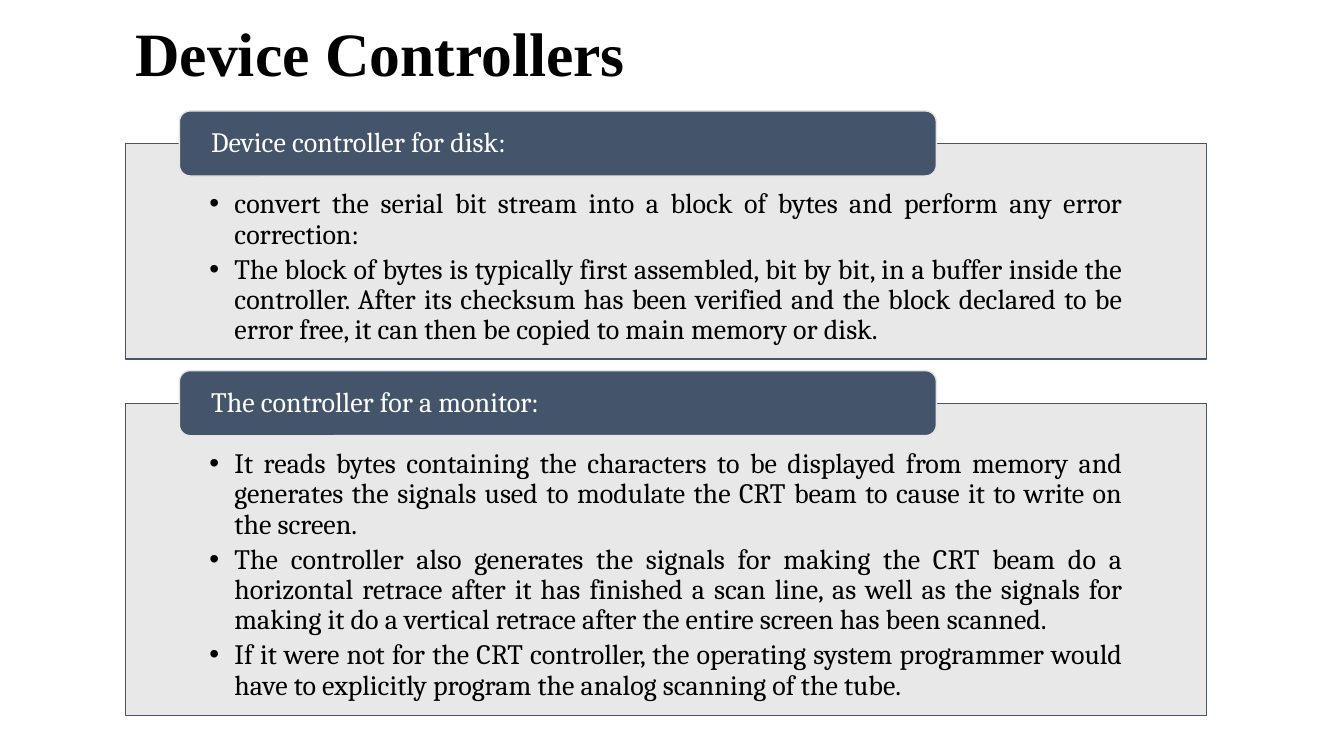
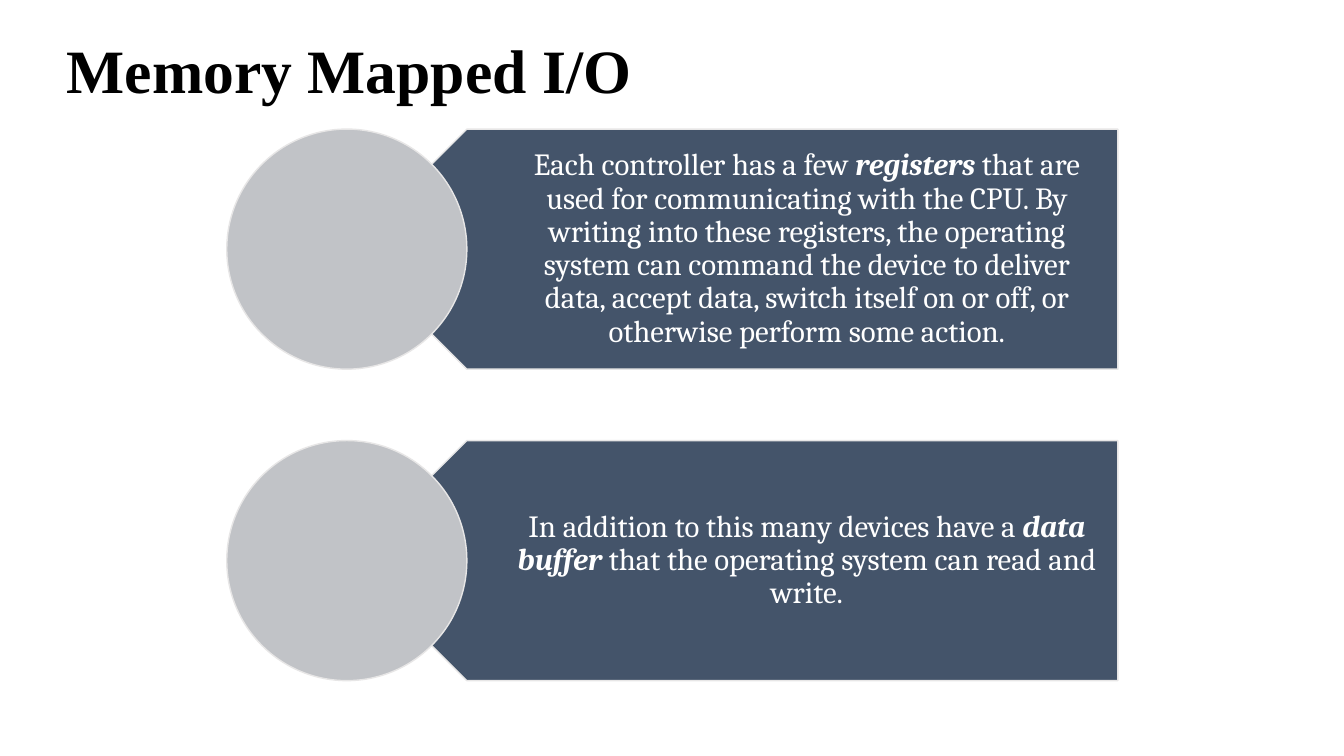
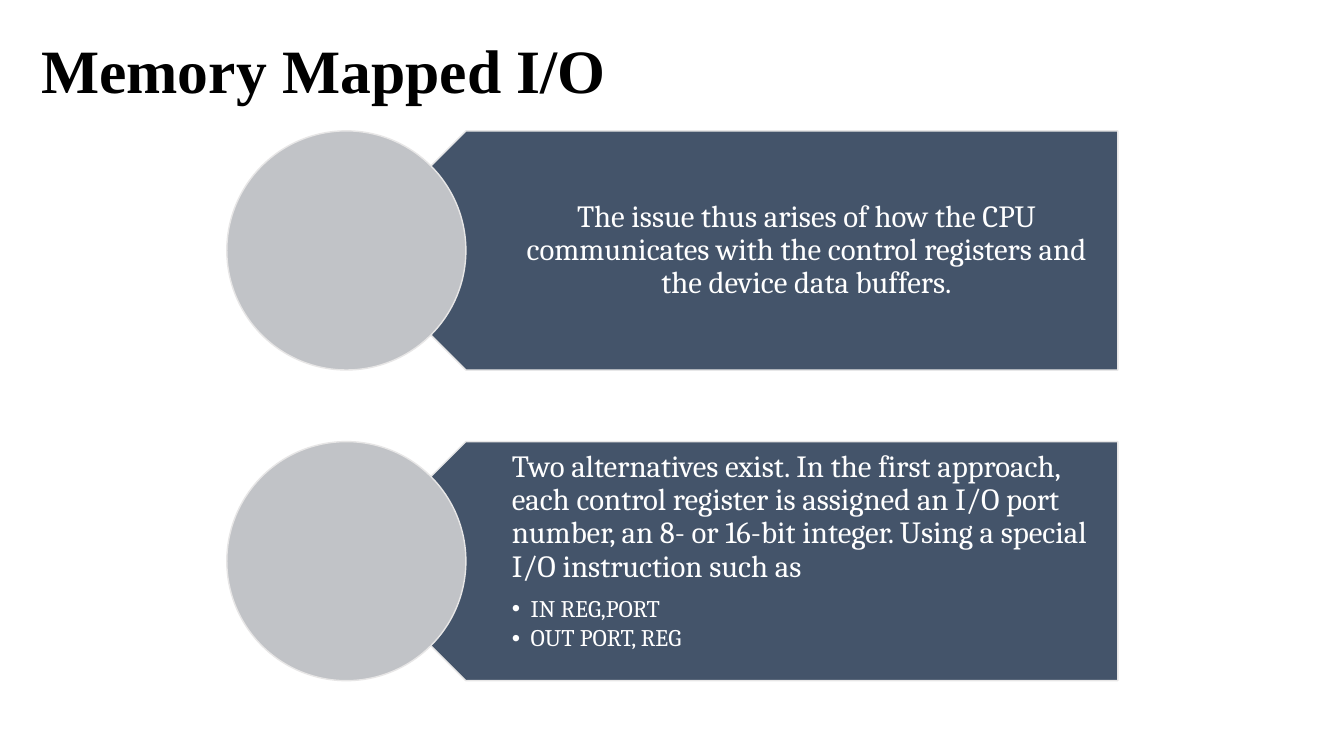
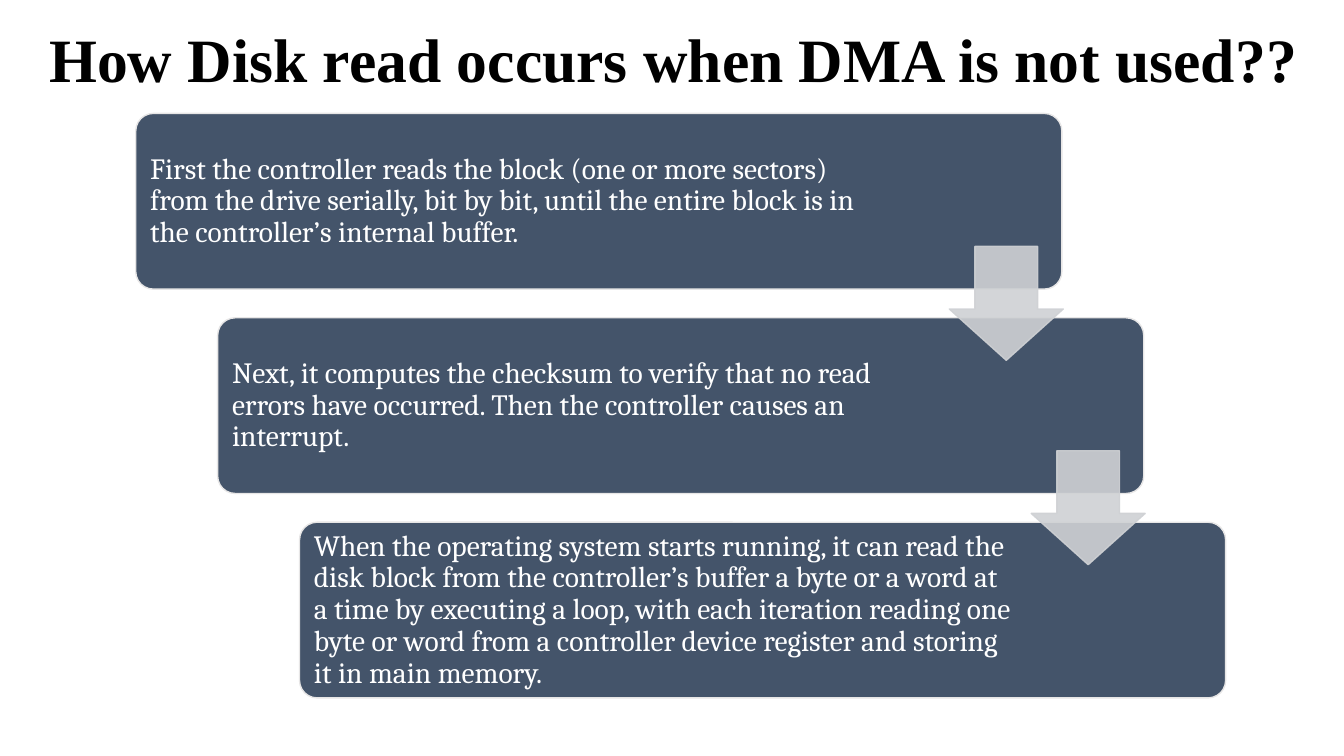
from dataclasses import dataclass

from pptx import Presentation
from pptx.dml.color import RGBColor
from pptx.enum.shapes import MSO_SHAPE as Preset
from pptx.enum.text import MSO_ANCHOR as Anchor, MSO_AUTO_SIZE as AutoSize, PP_ALIGN as Align
from pptx.oxml.ns import qn
from pptx.util import Pt
from lxml.etree import SubElement


@dataclass(frozen=True)
class Theme:
    black: str = "000000"
    white: str = "FFFFFF"
    navy: str = "44546A"
    mist: str = "E7E6E6"
    disc: str = "C1C3C7"
    arrow: str = "CFD1D4"
    title_font: str = "Times New Roman"
    body_font: str = "Cambria"
    title_size: float = 44
    panel_size: float = 20
    plate_size: float = 22
    step_size: float = 21
    detail_size: float = 17
    line_spacing: float = 0.9


THEME = Theme()


# Shared helpers
def apply(target, values):
    for name, value in values.items():
        setattr(target, name, value)


def set_alpha(color_format_parent, percent):
    color = next(color_format_parent.iter(qn("a:srgbClr")))
    SubElement(color, qn("a:alpha")).set("val", str(percent * 1000))


def add_block(slide, preset, box, fill, line, alpha=None):
    block = slide.shapes.add_shape(preset, *map(Pt, box))
    block.shadow.inherit = False
    block.fill.solid()
    block.fill.fore_color.rgb = RGBColor.from_string(fill)
    block.line.color.rgb = RGBColor.from_string(line)
    block.line.width = Pt(1)
    if alpha:
        set_alpha(block.fill._xPr.find(qn("a:solidFill")), alpha)
    return block


def set_frame(frame, insets, anchor):
    left, top, right, bottom = map(Pt, insets)
    apply(frame, {"word_wrap": True, "auto_size": AutoSize.NONE, "vertical_anchor": anchor,
                  "margin_left": left, "margin_top": top,
                  "margin_right": right, "margin_bottom": bottom})


def write(frame, index, runs, size, color, align=Align.LEFT, font=THEME.body_font,
          bold=False, gap=0, bullet_indent=0):
    """Write one paragraph; a run is plain text or a (text,) tuple for emphasis."""
    paragraph = frame.paragraphs[0] if index == 0 else frame.add_paragraph()
    if bullet_indent:
        paragraph.level = 1
        properties = paragraph._p.get_or_add_pPr()
        properties.set("marL", str(Pt(bullet_indent)))
        properties.set("indent", str(-Pt(bullet_indent)))
        SubElement(properties, qn("a:buFont")).set("typeface", "Arial")
        SubElement(properties, qn("a:buChar")).set("char", "•")
    apply(paragraph, {"alignment": align, "line_spacing": THEME.line_spacing,
                      "space_before": Pt(gap if index else 0), "space_after": Pt(0)})
    for text in [runs] if isinstance(runs, str) else runs:
        emphasis = isinstance(text, tuple)
        run = paragraph.add_run()
        run.text = text[0] if emphasis else text
        apply(run.font, {"name": font, "size": Pt(size), "bold": bold or emphasis,
                         "italic": emphasis})
        run.font.color.rgb = RGBColor.from_string(color)


def add_titled_slide(deck, title, box):
    slide = deck.slides.add_slide(deck.slide_layouts[5])
    heading = slide.shapes.title
    apply(heading, dict(zip(("left", "top", "width", "height"), map(Pt, box))))
    set_frame(heading.text_frame, (7.2, 3.6, 7.2, 3.6), Anchor.MIDDLE)
    write(heading.text_frame, 0, title, THEME.title_size, THEME.black,
          font=THEME.title_font, bold=True)
    return slide


# Panel with bullets and a heading tab across its top edge
def add_panel(slide, box, heading, points):
    left, top, width, _ = box
    panel = add_block(slide, Preset.RECTANGLE, box, THEME.mist, THEME.navy, alpha=90)
    set_frame(panel.text_frame, (60, 33, 60, 11.5), Anchor.TOP)
    for index, point in enumerate(points):
        write(panel.text_frame, index, point, THEME.panel_size, THEME.black,
              Align.JUSTIFY, gap=3.5, bullet_indent=18)

    tab_height = 46.5
    tab = add_block(slide, Preset.ROUNDED_RECTANGLE,
                    (left + width * 0.05, top - tab_height / 2, width * 0.7, tab_height),
                    THEME.navy, THEME.mist)
    set_frame(tab.text_frame, (20.5, 0, 20.5, 0), Anchor.MIDDLE)
    write(tab.text_frame, 0, heading, THEME.panel_size, THEME.white, Align.JUSTIFY)


# Pointed plate with a disc over its tip
def add_plate(slide, box, text, details=()):
    left, top, width, height = box
    plate = add_block(slide, Preset.PENTAGON,
                      (left + height / 2, top, width - height / 2, height),
                      THEME.navy, THEME.mist)
    plate.rotation = 180

    text_offset = height * 0.75
    message = slide.shapes.add_textbox(
        *map(Pt, (left + text_offset, top, width - text_offset, height))).text_frame
    set_frame(message, (75.5, 6.6, 12, 6.6), Anchor.TOP if details else Anchor.MIDDLE)
    write(message, 0, text, THEME.plate_size, THEME.white,
          Align.LEFT if details else Align.CENTER)
    for index, detail in enumerate(details, 1):
        write(message, index, detail, THEME.detail_size, THEME.white,
              gap=9 if index == 1 else 3, bullet_indent=13.5)

    add_block(slide, Preset.OVAL, (left, top, height, height), THEME.disc, THEME.mist)


def add_plates(slide, box, height, plates):
    left, top, width, total = box
    for index, plate in enumerate(plates):
        plate_top = top + index * (total - height) / (len(plates) - 1)
        add_plate(slide, (left, plate_top, width, height), *plate)


# Staircase of steps, joined by down arrows
def add_staircase(slide, box, steps):
    left, top, width, height = box
    step_width, step_height, arrow_side = 661.5, 125.5, 81.4
    shift = (width - step_width) / (len(steps) - 1)
    drop = (height - step_height) / (len(steps) - 1)

    for index, (text, right_inset) in enumerate(steps):
        step = add_block(slide, Preset.ROUNDED_RECTANGLE,
                         (left + index * shift, top + index * drop, step_width, step_height),
                         THEME.navy, THEME.mist)
        step.adjustments[0] = 0.1
        set_frame(step.text_frame, (6.6, 6.6, right_inset, 6.6), Anchor.MIDDLE)
        write(step.text_frame, 0, text, THEME.step_size, THEME.white)

    for index in range(len(steps) - 1):
        arrow = add_block(slide, Preset.DOWN_ARROW,
                          (left + index * shift + step_width - arrow_side + 1,
                           top + index * drop + 95, arrow_side, arrow_side),
                          THEME.arrow, THEME.arrow, alpha=90)
        arrow.adjustments[0], arrow.adjustments[1] = 0.55, 0.45
        set_alpha(arrow.line._ln, 90)


def main():
    deck = Presentation()
    apply(deck, {"slide_width": Pt(960), "slide_height": Pt(540)})

    # Device controllers
    controllers = add_titled_slide(deck, "Device Controllers", (89.5, 12, 528, 57))
    add_panel(controllers, (89.5, 102.5, 772.5, 154), "Device controller for disk:", [
        "convert the serial bit stream into a block of bytes and perform any error correction:",
        "The block of bytes is typically first assembled, bit by bit, in a buffer inside the "
        "controller. After its checksum has been verified and the block declared to be error "
        "free, it can then be copied to main memory or disk.",
    ])
    add_panel(controllers, (89.5, 288, 772.5, 223), "The controller for a monitor:", [
        "It reads bytes containing the characters to be displayed from memory and generates "
        "the signals used to modulate the CRT beam to cause it to write on the screen.",
        "The controller also generates the signals for making the CRT beam do a horizontal "
        "retrace after it has finished a scan line, as well as the signals for making it do "
        "a vertical retrace after the entire screen has been scanned.",
        "If it were not for the CRT controller, the operating system programmer would have "
        "to explicitly program the analog scanning of the tube.",
    ])

    # Memory mapped I/O: registers and buffers
    registers = add_titled_slide(deck, "Memory Mapped I/O", (40.5, 0, 919.5, 104.5))
    add_plates(registers, (162, 92.2, 636.5, 394), 171.5, [
        (["Each controller has a few ", ("registers",),
          " that are used for communicating with the CPU. By writing into these registers, "
          "the operating system can command the device to deliver data, accept data, switch "
          "itself on or off, or otherwise perform some action."],),
        (["In addition to this many devices have a ", ("data buffer ",),
          "that the operating system can read and write."],),
    ])

    # Memory mapped I/O: port numbers
    ports = add_titled_slide(deck, "Memory Mapped I/O", (22.3, 0, 828, 104.5))
    add_plates(ports, (162, 93.5, 636.5, 392.7), 170.8, [
        ("The issue thus arises of how the CPU communicates with the control registers and "
         "the device data buffers.",),
        ("Two alternatives exist. In the first approach, each control register is assigned "
         "an I/O port number, an 8- or 16-bit integer. Using a special I/O instruction such as",
         ["IN REG,PORT", "OUT PORT, REG"]),
    ])

    # Disk read without DMA
    disk_read = add_titled_slide(deck, "How Disk read occurs when DMA is not used??",
                                 (28, 14, 916, 61))
    add_staircase(disk_read, (97, 81, 778.5, 417.5), [
        ("First the controller reads the block (one or more sectors) from the drive serially, "
         "bit by bit, until the entire block is in the controller’s internal buffer.", 134),
        ("Next, it computes the checksum to verify that no read errors have occurred. Then "
         "the controller causes an interrupt.", 146),
        ("When the operating system starts running, it can read the disk block from the "
         "controller’s buffer a byte or a word at a time by executing a loop, with each "
         "iteration reading one byte or word from a controller device register and storing "
         "it in main memory.", 146),
    ])

    deck.save("out.pptx")


if __name__ == "__main__":
    main()
